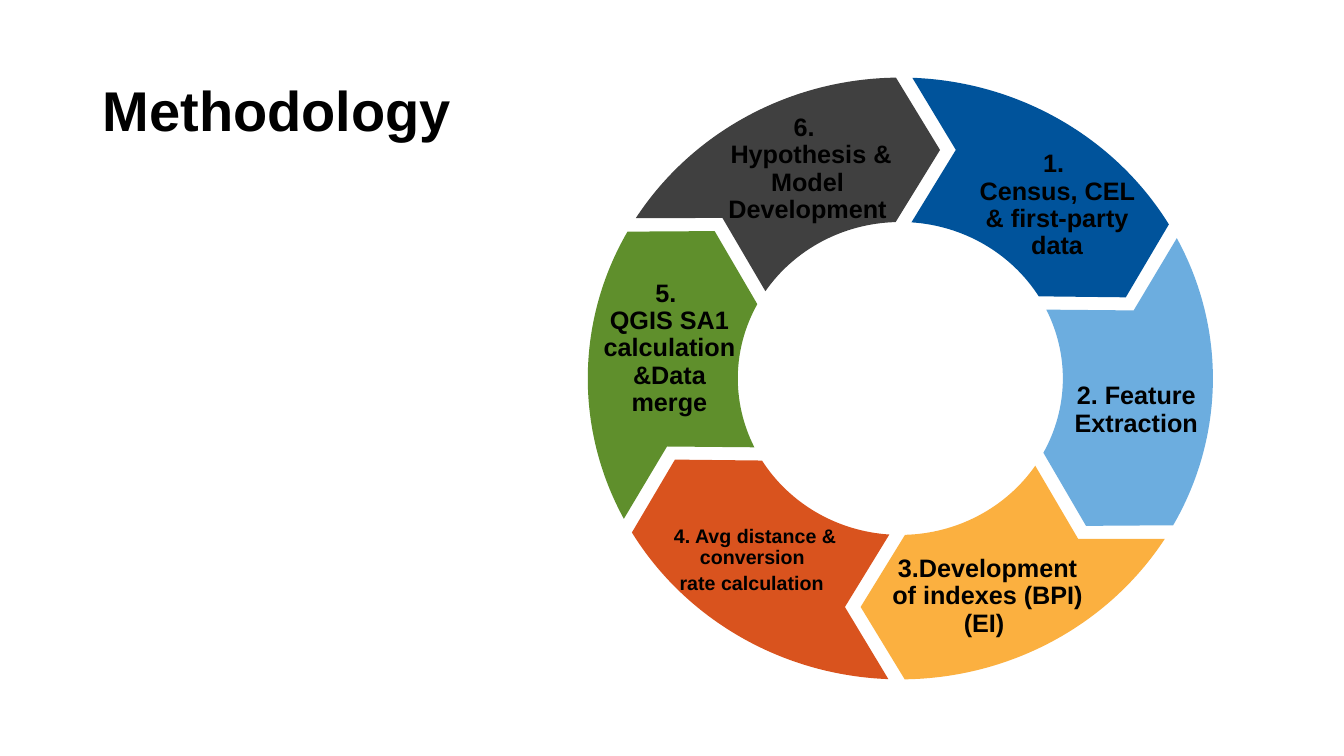
import math

from lxml import etree
from pptx import Presentation
from pptx import util as u
from pptx.dml.color import RGBColor
from pptx.enum import text
from pptx.oxml.ns import qn

FONT = "Arial"
COLORS = {
    "text": "000000",
    "blue": "00539B",
    "sky": "6CADDF",
    "amber": "FBB040",
    "orange": "D9531E",
    "green": "5F8F2C",
    "gray": "404040",
}
LABEL_SIZE = 18

# Clockwise from the top: colour, label, size in points, label box, side inset
STEPS = [
    ("blue", "1. \vCensus, CEL & first-party data", LABEL_SIZE, (9.52, 1.38, 1.93, 1.32), 0.14),
    ("sky", "2. Feature Extraction", LABEL_SIZE, (10.32, 3.41, 1.9, 1.32), 0.14),
    ("amber", "3.Development of indexes (BPI) (EI) ", LABEL_SIZE, (8.68, 5.26, 2.23, 1.32), 0.14),
    ("orange", "4. Avg distance & conversion \vrate calculation", 14, (6.17, 4.92, 2.64, 1.29), 0.16),
    ("green", "5. \vQGIS SA1 calculation &Data merge", LABEL_SIZE, (5.76, 2.71, 1.76, 1.5), 0.17),
    ("gray", "6. \v Hypothesis & Model Development", LABEL_SIZE, (7.01, 1.02, 2, 1.32), 0.14),
]
RING = (5.83, 0.77, 6.2, 5.97)
INNER = 0.52  # hole radius as a share of the outer radius

# Corners of one arrow: degrees clockwise from the top, share of the radius
CORNERS = [
    (2.2, 1), (30.7, 1), (59.2, 1), (69.5, 0.77),
    (58.35, INNER), (31.1, INNER), (3.9, INNER), (13.15, 0.78),
]
ARCS = [1, 2, 5, 6]  # corners reached along an arc


def rgb(name):
    return RGBColor.from_string(COLORS[name])


def style(p, size):
    p.line_spacing = 0.9
    for r in p.runs:
        r.font.name = FONT
        r.font.size = u.Pt(size)
        r.font.bold = True
        r.font.color.rgb = rgb("text")


def add_title(s, box):
    sp = s.shapes.title
    sp.left, sp.top, sp.width, sp.height = map(u.Inches, box)
    tf = sp.text_frame
    tf.text = "Methodology"
    tf.auto_size = text.MSO_AUTO_SIZE.NONE
    tf.vertical_anchor = text.MSO_ANCHOR.MIDDLE
    p = tf.paragraphs[0]
    p.alignment = text.PP_ALIGN.LEFT
    style(p, 40)


def ring_point(box, degrees, radius, tangent=0):
    """Place a point on the ring, moved along its tangent by a share of the radius."""
    left, top, width, height = box
    angle = math.radians(degrees)
    across = radius * (math.sin(angle) + tangent * math.cos(angle))
    up = radius * (math.cos(angle) - tangent * math.sin(angle))
    return u.Inches(left + width / 2 * (1 + across)), u.Inches(top + height / 2 * (1 - up))


def bend(sp, line, controls):
    """Turn a straight path segment into a cubic curve."""
    curve = etree.Element(qn("a:cubicBezTo"))
    for x, y in controls:
        etree.SubElement(curve, qn("a:pt"), x=str(x - sp.left), y=str(y - sp.top))
    curve.append(line[0])
    line.getparent().replace(line, curve)


def add_arrow(s, box, turn, color):
    """Draw one ring arrow, turned clockwise by the given degrees."""
    corners = [(degrees + turn, radius) for degrees, radius in CORNERS]
    points = [ring_point(box, *corner) for corner in corners]
    fb = s.shapes.build_freeform(*points[0])
    fb.add_line_segments(points[1:], close=True)
    sp = fb.convert_to_shape()
    lines = list(sp.element.iter(qn("a:lnTo")))
    for i in ARCS:
        (start, radius), (end, _) = corners[i - 1], corners[i]
        pull = 4 / 3 * math.tan(math.radians(end - start) / 4)
        controls = [ring_point(box, start, radius, pull), ring_point(box, end, radius, -pull)]
        bend(sp, lines[i - 1], controls)
    sp.shadow.inherit = False
    sp.fill.solid()
    sp.fill.fore_color.rgb = rgb(color)
    sp.line.fill.background()


def add_label(s, box, label, size, inset):
    sp = s.shapes.add_textbox(*map(u.Inches, box))
    tf = sp.text_frame
    tf.word_wrap = True
    tf.vertical_anchor = text.MSO_ANCHOR.MIDDLE
    tf.margin_left = tf.margin_right = u.Inches(inset)
    tf.margin_top = tf.margin_bottom = u.Inches(0.14)
    p = tf.paragraphs[0]
    p.text = label
    p.alignment = text.PP_ALIGN.CENTER
    style(p, size)
    if size < LABEL_SIZE:  # the last line keeps the full line height
        r = p.add_run()
        r.text = " "
        r.font.size = u.Pt(LABEL_SIZE)
        r.font.name = FONT


def add_cycle(s, box):
    for i, step in enumerate(STEPS):
        add_arrow(s, box, i * 360 / len(STEPS), step[0])
    for _, label, size, (x, y, w, h), inset in STEPS:
        place = (box[0] + x - RING[0], box[1] + y - RING[1], w, h)
        add_label(s, place, label, size, inset)


def main():
    prs = Presentation()
    prs.slide_width, prs.slide_height = u.Inches(13.33), u.Inches(7.5)
    s = prs.slides.add_slide(prs.slide_layouts[5])
    add_title(s, (0.92, 0.4, 11.5, 1.45))
    add_cycle(s, RING)
    prs.save("out.pptx")


if __name__ == "__main__":
    main()
